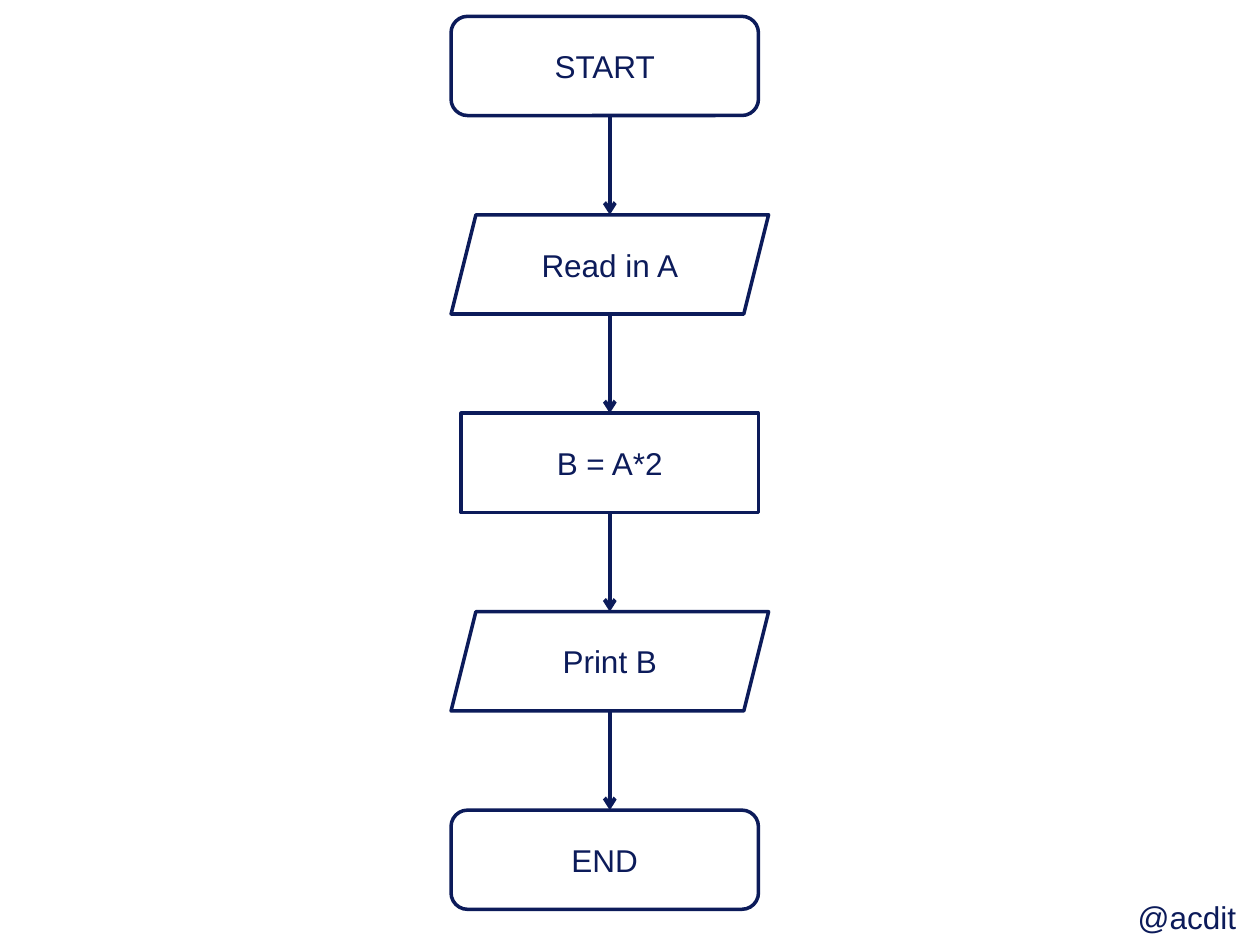
from dataclasses import dataclass

from lxml.etree import SubElement
from pptx import Presentation
from pptx.dml.color import RGBColor
from pptx.enum.shapes import MSO_CONNECTOR as Connector, MSO_SHAPE as Shape
from pptx.enum.text import MSO_ANCHOR as Anchor, MSO_AUTO_SIZE as AutoSize, PP_ALIGN as Align
from pptx.oxml.ns import qn
from pptx.util import Inches, Pt


@dataclass(frozen=True)
class Theme:
    ink: RGBColor = RGBColor(0x0C, 0x1B, 0x5A)
    font: str = "Arial"
    text_size: float = 18
    outline: float = 2
    arrow: float = 2.25


class FlowchartPage:
    """Draws flowchart elements on one slide in one style."""

    def __init__(self, page, theme):
        self.page = page
        self.theme = theme

    def set_text(self, frame, text, align):
        frame.text = text
        para = frame.paragraphs[0]
        para.alignment = align
        for span in para.runs:
            span.font.name = self.theme.font
            span.font.size = Pt(self.theme.text_size)
            span.font.color.rgb = self.theme.ink

    def step(self, kind, text, left, top, width, height):
        box = self.page.shapes.add_shape(
            kind, Inches(left), Inches(top), Inches(width), Inches(height))
        box.shadow.inherit = False
        box.fill.background()
        box.line.color.rgb = self.theme.ink
        box.line.width = Pt(self.theme.outline)
        box.text_frame.vertical_anchor = Anchor.MIDDLE
        self.set_text(box.text_frame, text, Align.CENTER)
        return box

    def arrow(self, x, top, bottom, source, target):
        link = self.page.shapes.add_connector(
            Connector.STRAIGHT, Inches(x), Inches(top), Inches(x), Inches(bottom))
        if source.auto_shape_type == Shape.RECTANGLE:
            link.begin_connect(source, 2)
        if target.auto_shape_type == Shape.RECTANGLE:
            link.end_connect(target, 0)
        link.line.color.rgb = self.theme.ink
        link.line.width = Pt(self.theme.arrow)
        properties = link.element.spPr
        SubElement(properties.find(qn("a:ln")), qn("a:tailEnd"), type="arrow")
        SubElement(properties, qn("a:effectLst"))

    def label(self, text, left, top, width, height):
        box = self.page.shapes.add_textbox(
            Inches(left), Inches(top), Inches(width), Inches(height))
        box.text_frame.word_wrap = False
        box.text_frame.auto_size = AutoSize.SHAPE_TO_FIT_TEXT
        self.set_text(box.text_frame, text, Align.LEFT)


def main():
    deck = Presentation()
    deck.slide_width, deck.slide_height = Inches(10), Inches(7.5)
    chart = FlowchartPage(deck.slides.add_slide(deck.slide_layouts[6]), Theme())

    first_top, last_top, axis = 0.13, 6.43, 4.84
    steps = [
        (Shape.ROUNDED_RECTANGLE, "START"),
        (Shape.PARALLELOGRAM, "Read in A"),
        (Shape.RECTANGLE, "B = A*2"),
        (Shape.PARALLELOGRAM, "Print B"),
        (Shape.ROUNDED_RECTANGLE, "END"),
    ]
    spans = {
        Shape.ROUNDED_RECTANGLE: (3.58, 2.44),
        Shape.PARALLELOGRAM: (3.58, 2.52),
        Shape.RECTANGLE: (3.66, 2.36),
    }
    pitch = (last_top - first_top) / (len(steps) - 1)
    height = pitch / 2

    previous = None
    for index, (kind, text) in enumerate(steps):
        left, width = spans[kind]
        top = first_top + index * pitch
        box = chart.step(kind, text, left, top, width, height)
        if previous is not None:
            chart.arrow(axis, top - height, top, previous, box)
        previous = box

    chart.label("@acdit", 8.93, 7.08, 0.98, 0.4)
    deck.save("out.pptx")


if __name__ == "__main__":
    main()
